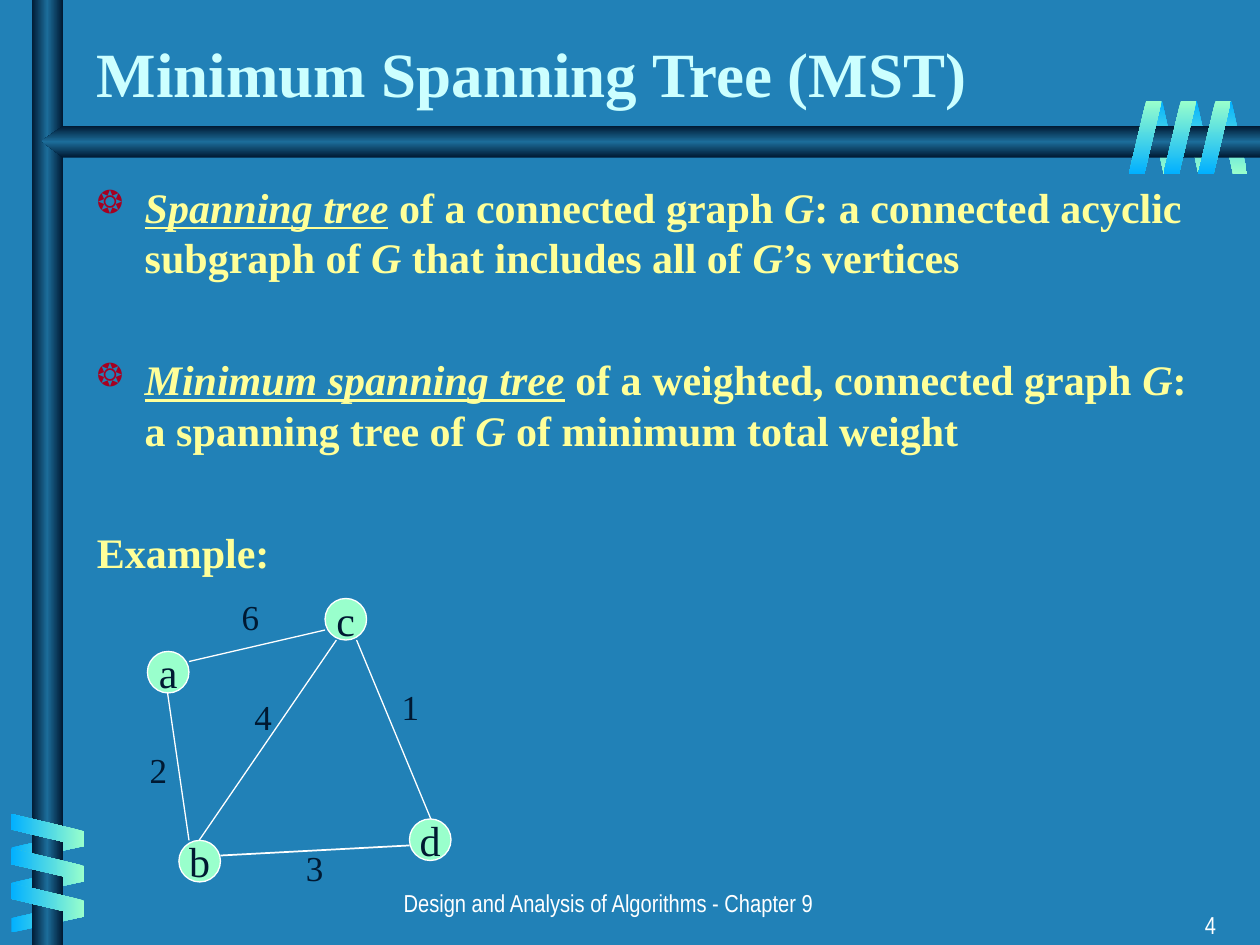
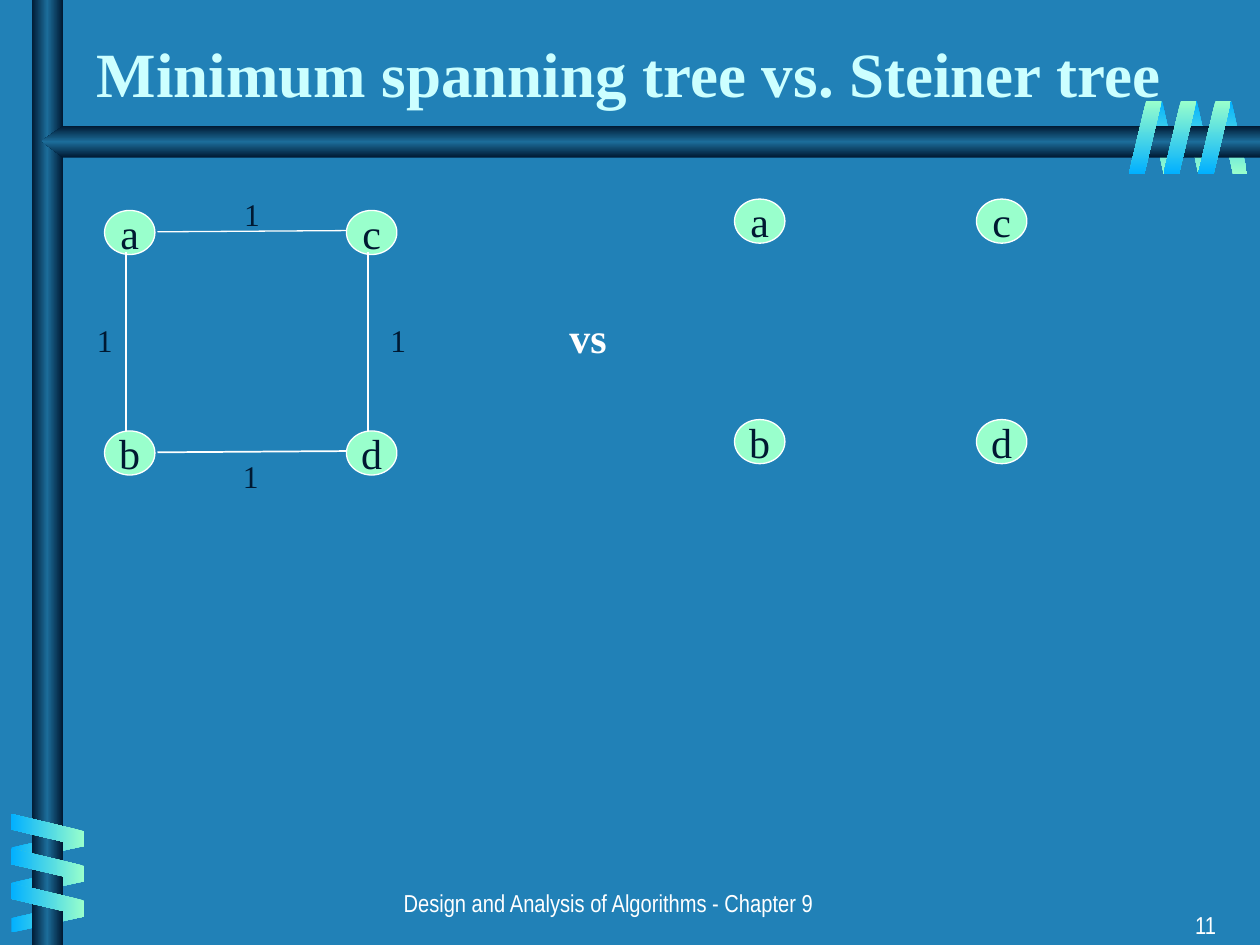
from lxml import etree
from pptx import Presentation
from pptx.dml.color import RGBColor
from pptx.enum.shapes import MSO_CONNECTOR as Link, MSO_SHAPE as Kind
from pptx.enum.text import MSO_ANCHOR as Anchor, PP_ALIGN as Align
from pptx.oxml import parse_xml
from pptx.oxml.ns import nsdecls, qn
from pptx.util import Inches, Pt

BLUE = RGBColor(0x21, 0x81, 0xB7)
NAVY = RGBColor(0x00, 0x19, 0x32)
STEEL = RGBColor(0x1C, 0x6D, 0x9A)
SKY = RGBColor(0x01, 0xB0, 0xFF)
MINT = RGBColor(0x99, 0xFF, 0xCC)
PALE = RGBColor(0xCC, 0xFF, 0xFF)
CREAM = RGBColor(0xFF, 0xFF, 0x99)
RED = RGBColor(0xA5, 0x00, 0x21)
WHITE = RGBColor(0xFF, 0xFF, 0xFF)
SERIF, NARROW = "Times New Roman", "Arial Narrow"

FOOTER = "Design and Analysis of Algorithms - Chapter 9"
BAR = (NAVY, STEEL, NAVY)
STEP = 0.275
BACK = [
    (9.11, 0.8, 0.24, STEP, 0, 180, 90),
    (0.26, 6.43, 0.24, 0, 0.28, 90, 180),
]
FRONT = [
    (0.25, 6.3, 0.26, 0, STEP, 270, 180),
    (8.96, 0.8, 0.26, STEP, 0, 0, 90),
]

BODY = [
    ("❂", [("Spanning tree", "iu"), (" of a connected graph ", ""), ("G", "i"),
           (": a connected acyclic subgraph of ", ""), ("G ", "i"),
           ("that includes all of ", ""), ("G", "i"), ("’s vertices", "")]),
    ("❂", [("Minimum spanning tree", "iu"),
           (" of a weighted, connected graph ", ""), ("G", "i"),
           (": a spanning tree of ", ""), ("G", "i"),
           (" of minimum total weight", "")]),
    ("", [("Example:", "")]),
]

TREE = {
    "nodes": {"c": (2.58, 4.75), "d": (3.25, 6.5),
              "b": (1.42, 6.67), "a": (1.17, 5.17)},
    "size": (0.33, 0.33),
    "edges": [(1.5, 5.25, 2.58, 5, 0.75), (1.5, 6.67, 1.33, 5.5, 0.75),
              (1.58, 6.67, 2.67, 5.08, 0.75), (1.75, 6.79, 3.25, 6.71, 1),
              (3.42, 6.5, 2.83, 5.08, 0.75)],
    "costs": [("6", 1.82, 4.68), ("2", 1.09, 5.89), ("4", 1.92, 5.47),
              ("3", 2.33, 6.67), ("1", 3.09, 5.39)],
    "font": 20,
}


def square(left, top):
    return {name: (left + 1.92 * col, top + 1.75 * row)
            for name, col, row in
            [("c", 1, 0), ("d", 1, 1), ("b", 0, 1), ("a", 0, 0)]}


RING = {
    "nodes": square(0.83, 1.67),
    "size": (0.4, 0.35),
    "edges": [(1.25, 1.84, 2.75, 1.83, 0.75), (1, 3.42, 1, 2, 0.75),
              (2.92, 3.42, 2.92, 2, 0.75), (1.25, 3.59, 2.75, 3.58, 1)],
    "costs": [("1", 1.84, 1.5), ("1", 0.67, 2.5),
              ("1", 3, 2.5), ("1", 1.83, 3.58)],
    "font": 18,
}
DOTS = {"nodes": square(5.83, 1.58), "size": (0.4, 0.35),
        "edges": [], "costs": [], "font": 18}


def inch(*nums):
    return [Inches(num) for num in nums]


def style(font, size, color, face=SERIF, bold=False):
    font.size, font.name, font.bold = Pt(size), face, bold
    font.color.rgb = color


def write(slide, text, at, size, color, face=SERIF, bold=False,
          align=Align.LEFT, anchor=Anchor.TOP, wrap=True):
    frame = slide.shapes.add_textbox(*inch(*at)).text_frame
    frame.word_wrap, frame.vertical_anchor = wrap, anchor
    frame.text = text
    para = frame.paragraphs[0]
    para.alignment = align
    style(para.runs[0].font, size, color, face, bold)


def shade(shape, colors, angle):
    shape.shadow.inherit = False
    shape.line.fill.background()
    shape.fill.background()
    last = len(colors) - 1
    stops = "".join(
        f'<a:gs pos="{100000 * i // last}"><a:srgbClr val="{c}"/></a:gs>'
        for i, c in enumerate(colors))
    grad = parse_xml(
        f'<a:gradFill {nsdecls("a")} rotWithShape="0"><a:gsLst>{stops}</a:gsLst>'
        f'<a:lin ang="{angle * 60000}" scaled="1"/></a:gradFill>')
    props = shape._element.spPr
    props.replace(props.find(qn("a:noFill")), grad)


def ribbon(slide, rows, colors, flip):
    for left, top, wide, dx, dy, turn, angle in rows:
        for i in range(3):
            band = slide.shapes.add_shape(
                Kind.PARALLELOGRAM,
                *inch(left + i * dx, top + i * dy, wide, 0.58))
            band.adjustments[0] = 0.53
            band.rotation = turn
            if flip:
                band._element.spPr.find(qn("a:xfrm")).set("flipH", "1")
            shade(band, colors, angle)


def base(deck, title, number):
    slide = deck.slides.add_slide(deck.slide_layouts[6])
    slide.background.fill.solid()
    slide.background.fill.fore_color.rgb = BLUE
    ribbon(slide, BACK, (SKY, MINT), True)
    post = slide.shapes.add_shape(Kind.RECTANGLE, *inch(0.25, 0, 0.25, 7.5))
    shade(post, BAR, 180)
    path = slide.shapes.build_freeform(*inch(10, 1))
    path.add_line_segments(
        [inch(*spot) for spot in
         [(0.5, 1), (0.33, 1.12), (0.5, 1.25), (10, 1.25)]], close=True)
    shade(path.convert_to_shape(), BAR, 90)
    ribbon(slide, FRONT, (MINT, SKY), False)
    write(slide, title, (0.67, 0.17, 9.17, 0.75), 36, PALE, bold=True,
          anchor=Anchor.BOTTOM)
    write(slide, FOOTER, (1.33, 7, 7, 0.33), 14, WHITE, NARROW,
          align=Align.CENTER)
    write(slide, str(number), (7.76, 7.17, 1.99, 0.33), 14, WHITE, NARROW,
          align=Align.RIGHT)
    return slide


def bullet(para, mark):
    props = para._p.get_or_add_pPr()
    if mark:
        props.set("marL", str(Inches(0.38)))
        props.set("indent", str(-Inches(0.38)))
        tint = etree.SubElement(props, qn("a:buClr"))
        etree.SubElement(tint, qn("a:srgbClr"), val=str(RED))
        etree.SubElement(props, qn("a:buSzPct"), val="75000")
        etree.SubElement(props, qn("a:buChar"), char=mark)
    else:
        etree.SubElement(props, qn("a:buNone"))


def prose(slide, items):
    frame = slide.shapes.add_textbox(*inch(0.67, 1.39, 9.08, 5.36)).text_frame
    frame.word_wrap = True
    for i, (mark, parts) in enumerate(items):
        para = frame.add_paragraph() if i else frame.paragraphs[0]
        bullet(para, mark)
        if i:
            para.space_before = Pt(41)
        for text, look in parts:
            run = para.add_run()
            run.text = text
            style(run.font, 24, CREAM, bold=True)
            run.font.italic = "i" in look
            run.font.underline = "u" in look


def graph(slide, data):
    for name, spot in data["nodes"].items():
        node = slide.shapes.add_shape(Kind.OVAL, *inch(*spot, *data["size"]))
        node.shadow.inherit = False
        node.fill.solid()
        node.fill.fore_color.rgb = MINT
        node.line.color.rgb = WHITE
        node.line.width = Pt(0.75)
        frame = node.text_frame
        frame.word_wrap, frame.vertical_anchor = False, Anchor.MIDDLE
        frame.text = name
        frame.paragraphs[0].alignment = Align.CENTER
        style(frame.paragraphs[0].runs[0].font, 24, NAVY)
    for *ends, width in data["edges"]:
        edge = slide.shapes.add_connector(Link.STRAIGHT, *inch(*ends))
        edge.line.color.rgb = WHITE
        edge.line.width = Pt(width)
        etree.SubElement(edge._element.spPr, qn("a:effectLst"))
    size = data["font"]
    for text, left, top in data["costs"]:
        box = (left, top, 0.2 + size * 0.007, size * 0.022)
        write(slide, text, box, size, NAVY, wrap=False)


def main():
    deck = Presentation()
    deck.slide_width, deck.slide_height = inch(10, 7.5)
    first = base(deck, "Minimum Spanning Tree (MST)", 4)
    prose(first, BODY)
    graph(first, TREE)
    second = base(deck, "Minimum spanning tree vs. Steiner tree", 11)
    graph(second, RING)
    graph(second, DOTS)
    write(second, "vs", (4.42, 2.42, 0.5, 0.5), 24, WHITE, bold=True)
    deck.save("out.pptx")


if __name__ == "__main__":
    main()
